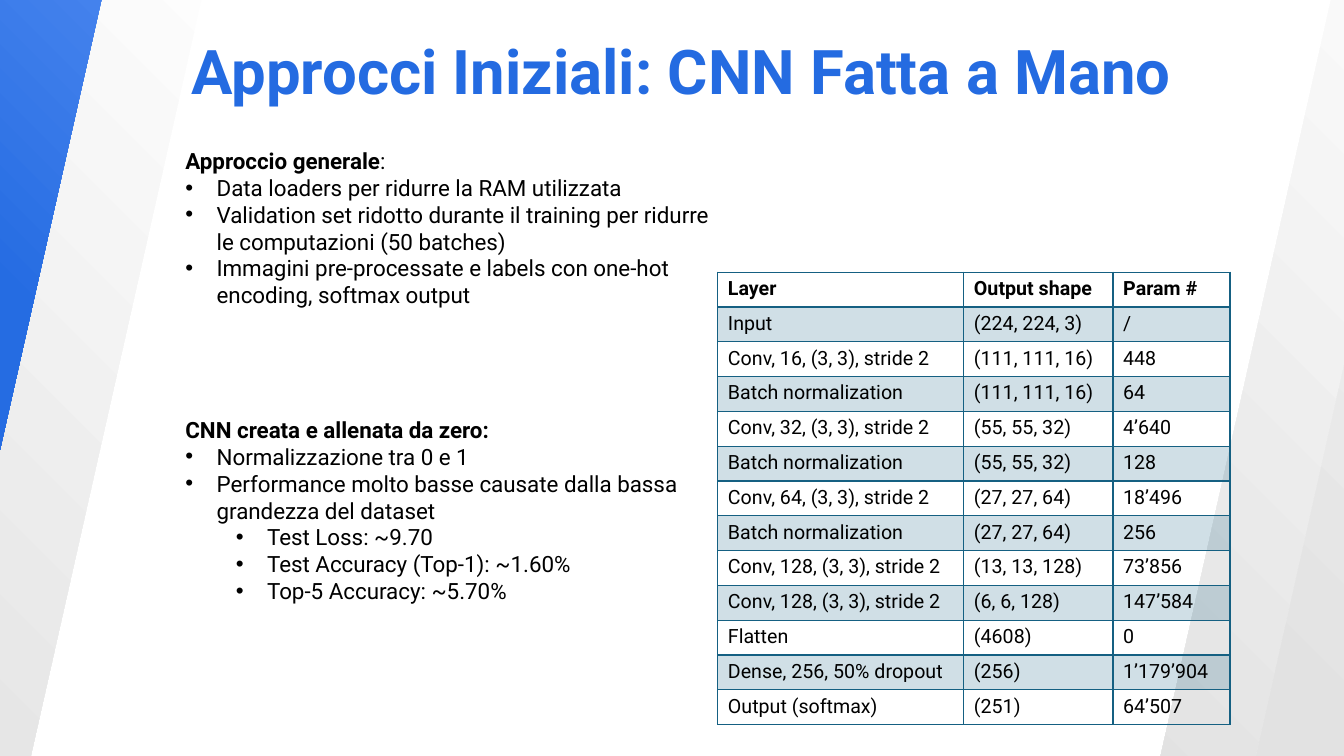
"""Build the slide on the hand-made CNN: side bands, notes and layer table."""
from lxml.etree import SubElement
from pptx import Presentation
from pptx.dml.color import RGBColor
from pptx.enum.shapes import MSO_SHAPE
from pptx.enum.text import MSO_AUTO_SIZE
from pptx.oxml.ns import qn
from pptx.util import Inches, Pt

FONT = "Roboto"
BLUE = RGBColor(0x24, 0x6B, 0xE1)
DEEP_BLUE = RGBColor(0x25, 0x6C, 0xE2)
LIGHT_BLUE = RGBColor(0x57, 0x8F, 0xF3)
GRAY = RGBColor(0xE2, 0xE2, 0xE2)
PALE = RGBColor(0xF6, 0xF6, 0xF6)
WHITE = RGBColor(0xFF, 0xFF, 0xFF)
BLACK = RGBColor(0, 0, 0)
TEAL = RGBColor(0x15, 0x60, 0x82)

BAND_W, BAND_H = 1.21, 9.27
BANDS = [
    (-0.03, -1.08, 12.7, (0, GRAY), (1, WHITE)),
    (-0.86, -1.79, 12.7, (0.52, DEEP_BLUE), (1, LIGHT_BLUE)),
    (12.46, -1.28, 192.7, (0, GRAY), (1, WHITE)),
    (13.08, 0.17, 192.7, (0.24, GRAY), (1, PALE)),
]

TITLE = "Approcci Iniziali: CNN Fatta a Mano"
SECTION_GAP = 77
HEADING = None
NOTES = [
    (HEADING, [("Approccio generale", True), (":", False)]),
    (0, [("Data loaders per ridurre la RAM utilizzata", False)]),
    (0, [("Validation set ridotto durante il training per ridurre le computazioni (50 batches)", False)]),
    (0, [("Immagini pre-processate e labels con one-hot encoding, softmax output", False)]),
    (HEADING, [("CNN creata e allenata da zero:", True)]),
    (0, [("Normalizzazione tra 0 e 1", False)]),
    (0, [("Performance molto basse causate dalla bassa grandezza del dataset", False)]),
    (1, [("Test Loss: ~9.70", False)]),
    (1, [("Test Accuracy (Top-1): ~1.60%", False)]),
    (1, [("Top-5 Accuracy: ~5.70%", False)]),
]

COL_WIDTHS = [2.44, 1.48, 1.16]
ROW_H = 4.49 / 13
LAYERS = [
    ("Layer", "Output shape", "Param #"),
    ("Input", "(224, 224, 3)", "/"),
    ("Conv, 16, (3, 3), stride 2", "(111, 111, 16)", "448"),
    ("Batch normalization", "(111, 111, 16)", "64"),
    ("Conv, 32, (3, 3), stride 2", "(55, 55, 32)", "4’640"),
    ("Batch normalization", "(55, 55, 32)", "128"),
    ("Conv, 64, (3, 3), stride 2", "(27, 27, 64)", "18’496"),
    ("Batch normalization", "(27, 27, 64)", "256"),
    ("Conv, 128, (3, 3), stride 2", "(13, 13, 128)", "73’856"),
    ("Conv, 128, (3, 3), stride 2", "(6, 6, 128)", "147’584"),
    ("Flatten", "(4608)", "0"),
    ("Dense, 256, 50% dropout", "(256)", "1’179’904"),
    ("Output (softmax)", "(251)", "64’507"),
]


def add_run(p, text, size, color, bold):
    r = p.add_run()
    r.text = text
    r.font.name = FONT
    r.font.size = Pt(size)
    r.font.bold = bold
    r.font.color.rgb = color


def add_band(slide, left, top, angle, *stops):
    s = slide.shapes.add_shape(MSO_SHAPE.RECTANGLE, Inches(left), Inches(top),
                               Inches(BAND_W), Inches(BAND_H))
    s.rotation = angle
    s.shadow.inherit = False
    s.line.fill.background()
    s.fill.gradient()
    for stop, (position, color) in zip(s.fill.gradient_stops, stops):
        stop.position = position
        stop.color.rgb = color
    grad = s._element.spPr.find(qn("a:gradFill"))
    grad.remove(grad.find(qn("a:lin")))
    radial = SubElement(grad, qn("a:path"), path="circle")
    SubElement(radial, qn("a:fillToRect"), t="100000", r="100000")


def add_text_box(slide, left, top, width, height):
    tf = slide.shapes.add_textbox(Inches(left), Inches(top),
                                  Inches(width), Inches(height)).text_frame
    tf.word_wrap = True
    tf.auto_size = MSO_AUTO_SIZE.SHAPE_TO_FIT_TEXT
    return tf


def add_notes_text(slide):
    tf = add_text_box(slide, 1.74, 1.41, 5.39, 4.68)
    for i, (level, runs) in enumerate(NOTES):
        p = tf.add_paragraph() if i else tf.paragraphs[0]
        if level is not HEADING:
            p.level = level
            pPr = p._p.get_or_add_pPr()
            pPr.set("marL", str(Inches(0.31 + 0.5 * level)))
            pPr.set("indent", str(-Inches(0.31)))
            SubElement(pPr, qn("a:buFont"), typeface="Arial")
            SubElement(pPr, qn("a:buChar"), char="•")
        elif i:
            p.space_before = Pt(SECTION_GAP)
        for text, bold in runs:
            add_run(p, text, 16, BLACK, bold)


def set_border(cell, side, width):
    ln = SubElement(cell._tc.get_or_add_tcPr(), qn(f"a:ln{side}"), w=str(Pt(width)))
    SubElement(SubElement(ln, qn("a:solidFill")), qn("a:srgbClr"), val=str(TEAL))


def add_layer_table(slide):
    table = slide.shapes.add_table(len(LAYERS), len(COL_WIDTHS), Inches(7.12), Inches(2.7),
                                   Inches(sum(COL_WIDTHS)),
                                   Inches(ROW_H * len(LAYERS))).table
    table.horz_banding = False
    for column, width in zip(table.columns, COL_WIDTHS):
        column.width = Inches(width)
    for i, values in enumerate(LAYERS):
        table.rows[i].height = Inches(ROW_H)
        for j, text in enumerate(values):
            cell = table.cell(i, j)
            add_run(cell.text_frame.paragraphs[0], text, 14, BLACK, i == 0)
            for side in "LRTB":
                header_rule = (i, side) in ((0, "B"), (1, "T"))
                set_border(cell, side, 2 if header_rule else 1)
            if i % 2:
                cell.fill.solid()
                cell.fill.fore_color.rgb = TEAL
                color = cell._tc.tcPr.find(qn("a:solidFill")).find(qn("a:srgbClr"))
                SubElement(color, qn("a:alpha"), val="20000")
            else:
                cell.fill.background()


def main():
    prs = Presentation()
    prs.slide_width, prs.slide_height = Inches(13.33), Inches(7.5)
    slide = prs.slides.add_slide(prs.slide_layouts[6])
    for band in BANDS:
        add_band(slide, *band)
    title = add_text_box(slide, 1.8, 0.28, 10.4, 0.84)
    add_run(title.paragraphs[0], TITLE, 44, BLUE, True)
    add_notes_text(slide)
    add_layer_table(slide)
    prs.save("out.pptx")


if __name__ == "__main__":
    main()
